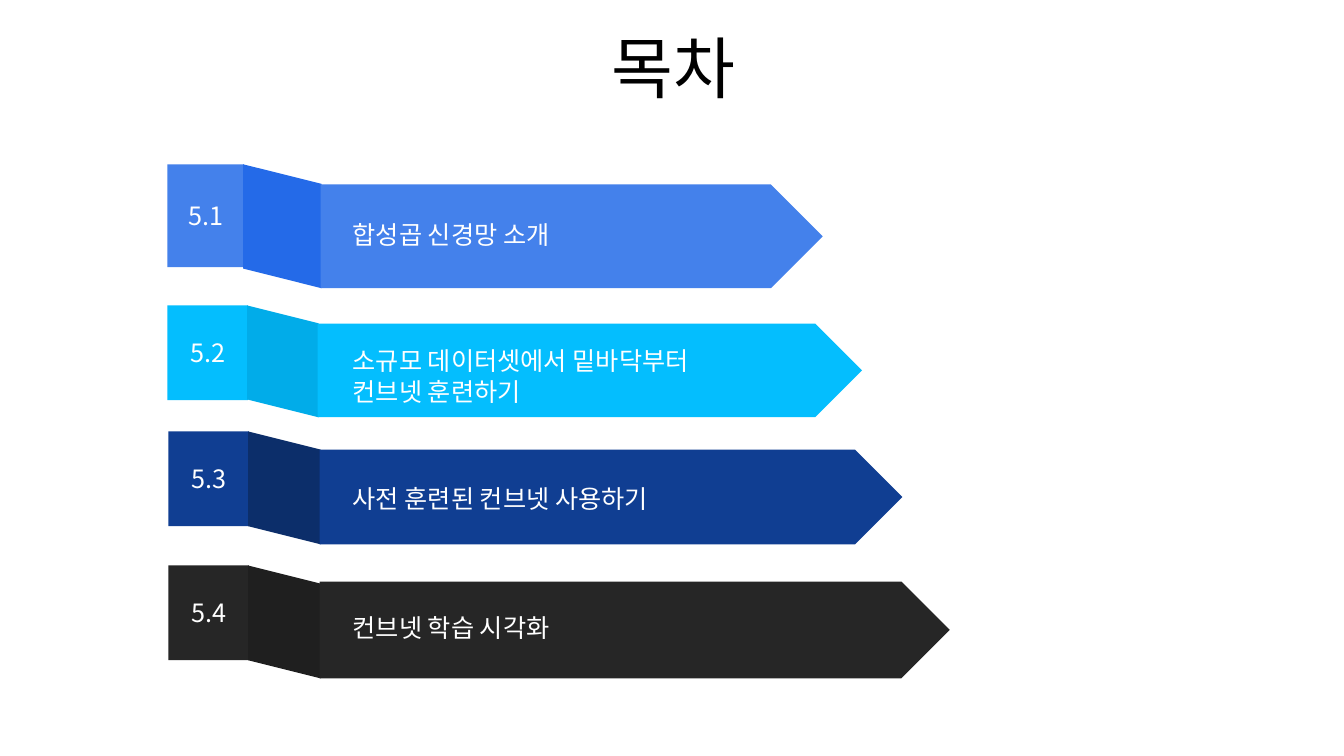
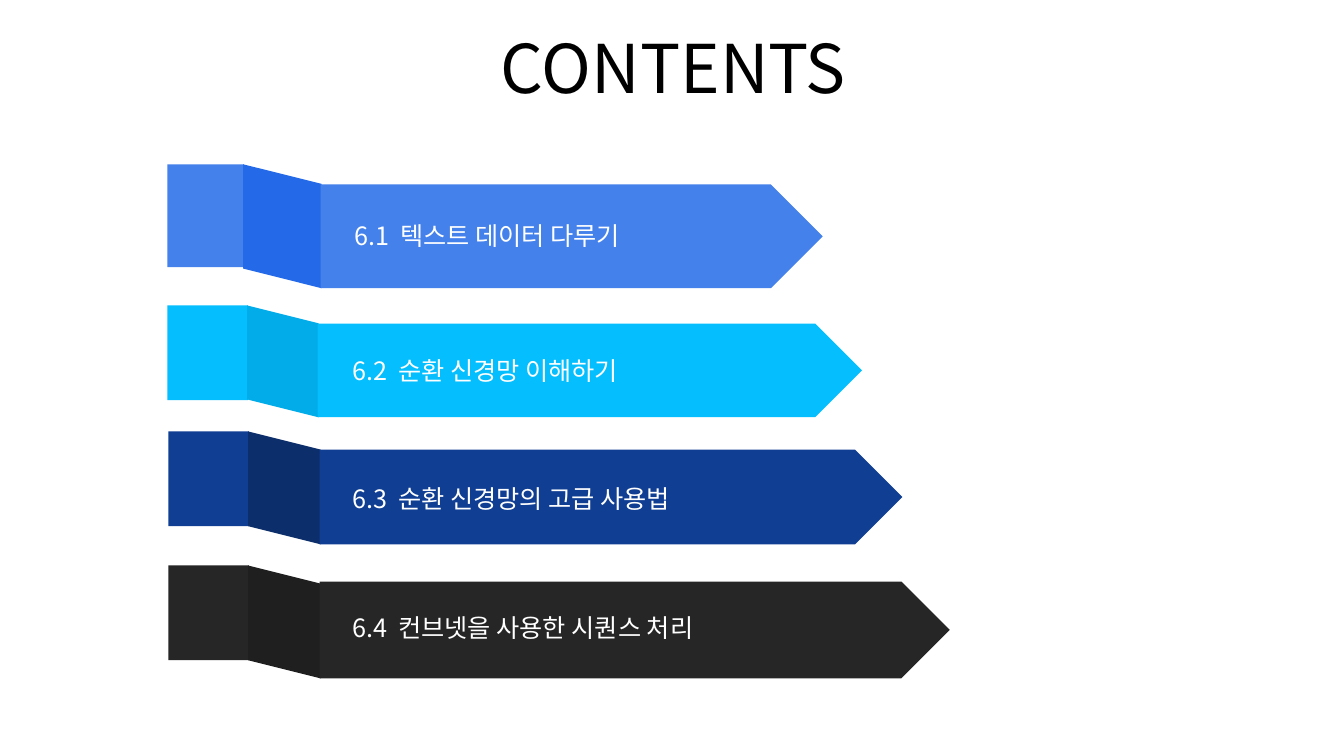
from dataclasses import dataclass

import lxml.etree
import pptx
import pptx.dml.color
import pptx.enum.shapes
import pptx.enum.text
import pptx.oxml.ns
import pptx.util

Inches = pptx.util.Inches
RGBColor = pptx.dml.color.RGBColor
SHAPE = pptx.enum.shapes.MSO_SHAPE
ALIGN = pptx.enum.text.PP_ALIGN
ANCHOR = pptx.enum.text.MSO_ANCHOR
AUTOFIT = pptx.enum.text.MSO_AUTO_SIZE
qn = pptx.oxml.ns.qn

FONT = "Noto Sans CJK KR"
BLACK = RGBColor(0x00, 0x00, 0x00)
WHITE = RGBColor(0xFF, 0xFF, 0xFF)
BLUE = RGBColor(0x44, 0x81, 0xEB)
BLUE_FOLD = RGBColor(0x24, 0x6A, 0xE8)
CYAN = RGBColor(0x04, 0xBE, 0xFE)
CYAN_FOLD = RGBColor(0x01, 0xAC, 0xE9)
NAVY = RGBColor(0x10, 0x3E, 0x92)
NAVY_FOLD = RGBColor(0x0C, 0x2E, 0x6A)
DARK = RGBColor(0x26, 0x26, 0x26)
DARK_FOLD = RGBColor(0x1F, 0x1F, 0x1F)

OVERLAP = 0.01  # the fold covers this much of the tab and the arrow
LABEL_TAB = 0.45  # where the label starts after its section number


@dataclass(frozen=True)
class Box:
    left: float
    top: float
    width: float
    height: float

    @property
    def right(self) -> float:
        return self.left + self.width

    @property
    def bottom(self) -> float:
        return self.top + self.height

    def lengths(self) -> tuple:
        return tuple(Inches(v) for v in (self.left, self.top, self.width, self.height))


@dataclass(frozen=True)
class Ribbon:
    tab: Box
    arrow: Box
    color: RGBColor
    fold_color: RGBColor


@dataclass(frozen=True)
class Entry:
    text: str
    left: float
    top: float
    width: float
    number: str = ""


TITLE = Box(2.39, 0.21, 8.58, 0.91)

RIBBONS = (
    Ribbon(Box(1.66, 1.63, 0.76, 1.02), Box(3.18, 1.83, 4.98, 1.03), BLUE, BLUE_FOLD),
    Ribbon(Box(1.66, 3.03, 0.8, 0.94), Box(3.15, 3.21, 5.4, 0.93), CYAN, CYAN_FOLD),
    Ribbon(Box(1.67, 4.28, 0.8, 0.94), Box(3.17, 4.46, 5.78, 0.94), NAVY, NAVY_FOLD),
    Ribbon(Box(1.67, 5.61, 0.8, 0.94), Box(3.17, 5.77, 6.25, 0.96), DARK, DARK_FOLD),
)

AGENDAS = {
    "목차": (
        Entry("합성곱 신경망 소개", 3.4, 2.13, 4.41, "5.1"),
        Entry("소규모 데이터셋에서 밑바닥부터\n컨브넷 훈련하기", 3.4, 3.38, 4.76, "5.2"),
        Entry("사전 훈련된 컨브넷 사용하기", 3.4, 4.75, 3.66, "5.3"),
        Entry("컨브넷 학습 시각화", 3.4, 6.03, 3.66, "5.4"),
    ),
    "CONTENTS": (
        Entry("6.1\t텍스트 데이터 다루기", 3.42, 2.14, 3.25),
        Entry("6.2\t순환 신경망 이해하기", 3.4, 3.48, 3.19),
        Entry("6.3\t순환 신경망의 고급 사용법", 3.4, 4.75, 3.66),
        Entry("6.4\t컨브넷을 사용한 시퀀스 처리", 3.4, 6.03, 3.98),
    ),
}


def write(tf, text: str, *, size: float = 18, color: RGBColor = WHITE,
          align=ALIGN.LEFT, anchor=ANCHOR.TOP, autofit=AUTOFIT.NONE) -> None:
    """Fill a text frame, one paragraph per line of text."""
    tf.word_wrap = True
    tf.vertical_anchor = anchor
    tf.auto_size = autofit
    for i, line in enumerate(text.split("\n")):
        p = tf.add_paragraph() if i else tf.paragraphs[0]
        p.alignment = align
        if "\t" in line:
            tabs = lxml.etree.SubElement(p._p.get_or_add_pPr(), qn("a:tabLst"))
            lxml.etree.SubElement(tabs, qn("a:tab"), pos=str(Inches(LABEL_TAB)), algn="l")
        r = p.add_run()
        r.text = line
        r.font.size = pptx.util.Pt(size)
        r.font.color.rgb = color
        r.font.name = FONT
        # Hangul takes its typeface from the East Asian font
        lxml.etree.SubElement(r._r.get_or_add_rPr(), qn("a:ea"), typeface=FONT)


def add_block(shapes, kind, box: Box, color: RGBColor):
    """Add a plain filled shape without outline or shadow."""
    sp = shapes.add_shape(kind, *box.lengths())
    sp.shadow.inherit = False
    sp.fill.solid()
    sp.fill.fore_color.rgb = color
    sp.line.fill.background()
    return sp


def add_fold(shapes, ribbon: Ribbon) -> None:
    """Join the tab's top right corner to the arrow's bottom left corner."""
    tab, arrow = ribbon.tab, ribbon.arrow
    across = arrow.left - tab.right + 2 * OVERLAP
    down = arrow.bottom - tab.top
    center_x = (tab.right + arrow.left) / 2
    center_y = (tab.top + arrow.bottom) / 2
    # Width and height swap because the shape is turned a quarter
    box = Box(center_x - down / 2, center_y - across / 2, down, across)
    add_block(shapes, SHAPE.PARALLELOGRAM, box, ribbon.fold_color).rotation = 90


def add_ribbon(s, ribbon: Ribbon, entry: Entry) -> None:
    """Draw one agenda entry as a group: tab, fold, arrow and label."""
    shapes = s.shapes.add_group_shape().shapes
    tab = add_block(shapes, SHAPE.RECTANGLE, ribbon.tab, ribbon.color)
    if entry.number:
        write(tab.text_frame, entry.number, align=ALIGN.CENTER, anchor=ANCHOR.MIDDLE)
    add_fold(shapes, ribbon)
    add_block(shapes, SHAPE.PENTAGON, ribbon.arrow, ribbon.color)
    height = 0.1 + 0.3 * len(entry.text.split("\n"))
    label = shapes.add_textbox(*Box(entry.left, entry.top, entry.width, height).lengths())
    write(label.text_frame, entry.text, autofit=AUTOFIT.SHAPE_TO_FIT_TEXT)


def add_agenda(prs, title: str, entries: tuple[Entry, ...]) -> None:
    """Add a slide with a centred title and one ribbon per entry."""
    s = prs.slides.add_slide(prs.slide_layouts[5])
    sp = s.shapes.title
    sp.left, sp.top, sp.width, sp.height = TITLE.lengths()
    write(sp.text_frame, title, size=48, color=BLACK, align=ALIGN.CENTER,
          autofit=AUTOFIT.SHAPE_TO_FIT_TEXT)
    for ribbon, entry in zip(RIBBONS, entries):
        add_ribbon(s, ribbon, entry)


def main() -> None:
    prs = pptx.Presentation()
    prs.slide_width, prs.slide_height = Inches(13.33), Inches(7.5)
    for title, entries in AGENDAS.items():
        add_agenda(prs, title, entries)
    prs.save("out.pptx")


if __name__ == "__main__":
    main()
